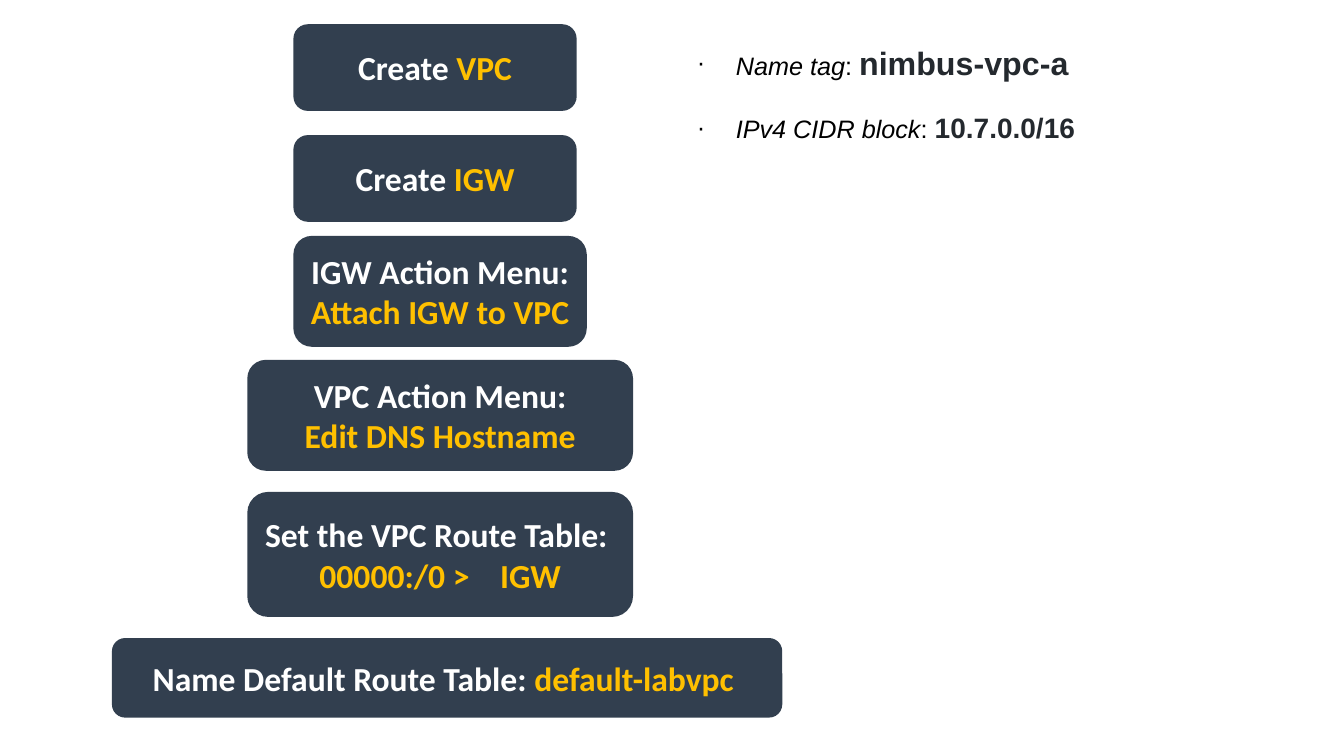
"""Build the slide that lists the steps for setting up a VPC."""
from dataclasses import dataclass

from lxml.etree import SubElement as Sub
from pptx import Presentation as Deck
from pptx.dml.color import RGBColor as Rgb
from pptx.enum.shapes import MSO_SHAPE as Kind
from pptx.enum.text import MSO_ANCHOR as Anchor, MSO_AUTO_SIZE as Fit, PP_ALIGN as Align
from pptx.oxml.ns import qn
from pptx.util import Inches, Pt

WIDE, HIGH = Inches(13.33), Inches(7.5)
COL, ROW = WIDE / 100, HIGH / 100
NAVY, GOLD, WHITE, BLACK, INK = "323F4F", "FFC000", "FFFFFF", "000000", "24292E"
STEP = {"name": "Calibri", "size": Pt(24), "bold": True}
TERM = {"name": "Arial", "size": Pt(18), "bold": False, "italic": True}
COLON = TERM | {"italic": False}
VALUE = {"name": "Arial", "bold": True, "italic": False}


@dataclass
class Span:
    """A piece of text in one colour, with extra letter spacing in points."""
    text: str
    tint: str = GOLD
    gap: float = 0


@dataclass
class Box:
    """A step box placed in columns and rows."""
    left: float
    top: float
    width: float
    height: float
    lines: list[list[Span]]


@dataclass
class Fact:
    """A named setting in the list."""
    term: str
    value: str
    size: int
    before: float


BOXES = [
    Box(21.83, 3.2, 21.08, 11.47, [[Span("Create ", WHITE), Span("VPC")]]),
    Box(21.83, 17.87, 21.08, 11.47, [[Span("Create ", WHITE), Span("IGW")]]),
    Box(21.83, 31.2, 21.83, 14.67,
        [[Span("IGW Action Menu: ", WHITE), Span("Attach IGW to VPC")]]),
    Box(18.4, 47.6, 28.7, 14.67,
        [[Span("VPC Action Menu:", WHITE)], [Span("Edit DNS Hostname")]]),
    Box(18.4, 65.07, 28.7, 16.53,
        [[Span("Set the VPC Route Table: ", WHITE)],
         [Span("00000:/0 >"), Span(" ", GOLD, 16.3), Span("IGW")]]),
    Box(8.33, 84.4, 49.88, 10.53,
        [[Span("Name Default Route Table: ", WHITE), Span("default-labvpc ")]]),
]
FACTS = [Fact("Name tag", "nimbus-vpc-a", 23, 0),
         Fact("IPv4 CIDR block", "10.7.0.0/16", 20, 20.7)]


def paint(part, tint: str) -> None:
    """Set the colour of a fill or a font."""
    if hasattr(part, "solid"):
        part.solid()
        part.fore_color.rgb = Rgb.from_string(tint)
    else:
        part.color.rgb = Rgb.from_string(tint)


def write(para, span: Span, form: dict) -> None:
    """Add a formatted run to a paragraph."""
    run = para.add_run()
    run.text = span.text
    for key, val in form.items():
        setattr(run.font, key, val)
    paint(run.font, span.tint)
    if span.gap:
        run._r.get_or_add_rPr().set("spc", str(round(span.gap * 100)))


def place(left: float, top: float, width: float, height: float) -> list[int]:
    """Turn columns and rows into lengths."""
    return [round(left * COL), round(top * ROW), round(width * COL), round(height * ROW)]


def line(frame, index: int):
    """Return the first paragraph of a frame or a new one."""
    return frame.add_paragraph() if index else frame.paragraphs[0]


def draw(slide, box: Box) -> None:
    """Draw one step box."""
    shape = slide.shapes.add_shape(
        Kind.ROUNDED_RECTANGLE, *place(box.left, box.top, box.width, box.height))
    shape.shadow.inherit = False
    shape.line.fill.background()
    paint(shape.fill, NAVY)
    frame = shape.text_frame
    frame.word_wrap, frame.vertical_anchor = True, Anchor.MIDDLE
    for index, spans in enumerate(box.lines):
        para = line(frame, index)
        para.alignment = Align.CENTER
        for span in spans:
            write(para, span, STEP)


def dot(para) -> None:
    """Give a paragraph a hanging black bullet."""
    prop = para._p.get_or_add_pPr()
    hang = Inches(0.38)
    prop.set("marL", str(hang))
    prop.set("indent", str(-hang))
    Sub(Sub(prop, qn("a:buClr")), qn("a:srgbClr"), val=BLACK)
    Sub(prop, qn("a:buFont"), typeface="Arial")
    Sub(prop, qn("a:buChar"), char="∙")


def fill(body, facts: list[Fact]) -> None:
    """Place the list and write its facts."""
    body.left, body.top, body.width, body.height = place(51.15, 5.07, 48.75, 19.47)
    frame = body.text_frame
    frame.word_wrap, frame.auto_size, frame.vertical_anchor = True, Fit.NONE, Anchor.TOP
    for index, fact in enumerate(facts):
        para = line(frame, index)
        para.space_before = Pt(fact.before)
        dot(para)
        write(para, Span(fact.term, BLACK), TERM)
        write(para, Span(":\u00a0", BLACK), COLON)
        write(para, Span(fact.value, INK), VALUE | {"size": Pt(fact.size)})


def main() -> None:
    """Build and save the slide."""
    deck = Deck()
    deck.slide_width, deck.slide_height = WIDE, HIGH
    slide = deck.slides.add_slide(deck.slide_layouts[1])
    title = slide.shapes.title.element
    title.getparent().remove(title)
    fill(slide.placeholders[1], FACTS)
    for box in BOXES:
        draw(slide, box)
    deck.save("out.pptx")


if __name__ == "__main__":
    main()
